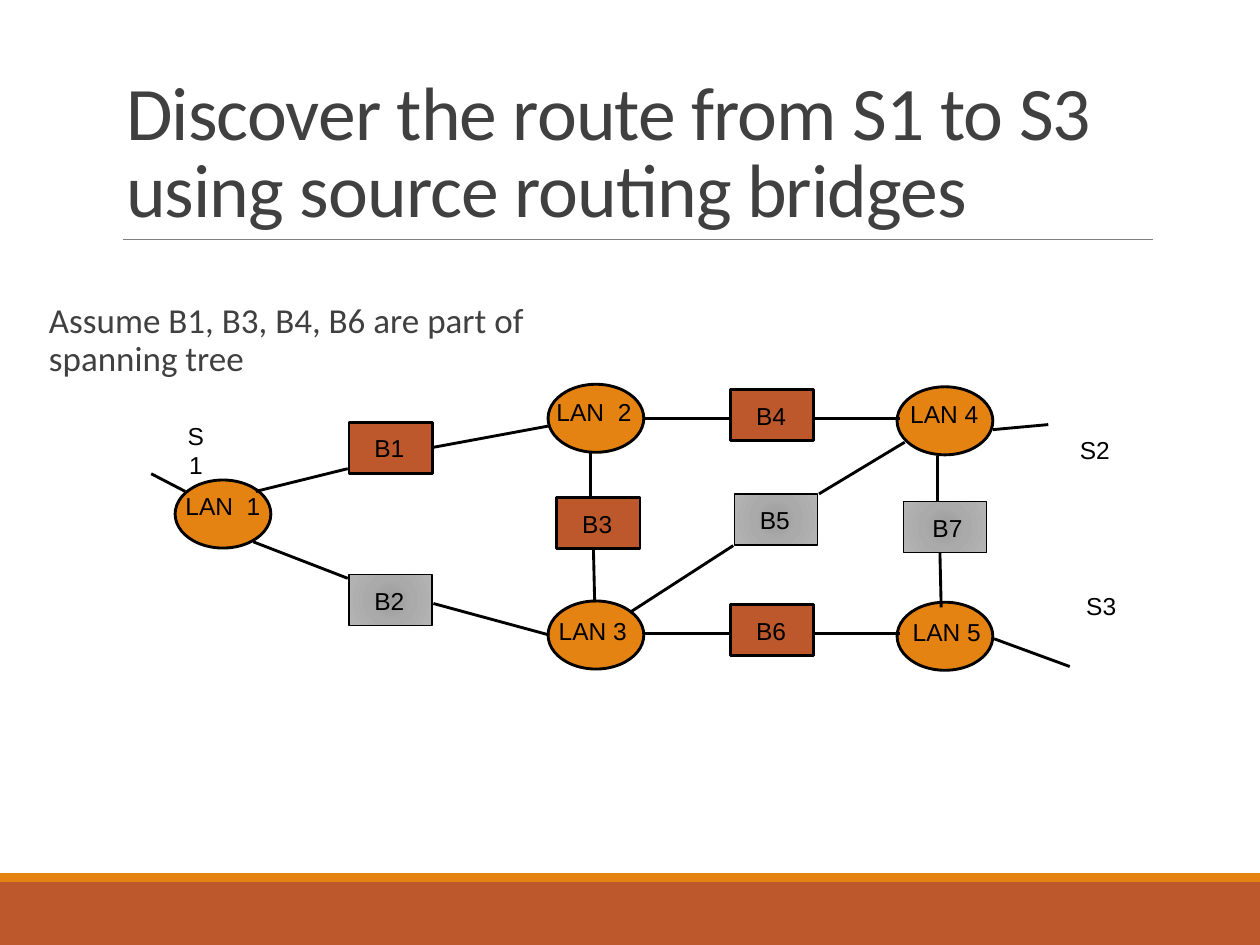
from dataclasses import dataclass
from typing import NamedTuple

from lxml.etree import SubElement
from pptx import Presentation
from pptx.dml.color import RGBColor
from pptx.enum.shapes import MSO_CONNECTOR, MSO_SHAPE
from pptx.enum.text import MSO_ANCHOR, MSO_AUTO_SIZE, PP_ALIGN
from pptx.oxml import parse_xml
from pptx.oxml.ns import nsdecls, qn
from pptx.util import Inches, Pt

COLS, ROWS = 100, 75  # grid over the whole slide
LAN_W, LAN_H = 7.6, 5.4
BOX_W, BOX_H = 6.6, 4.05
TAG_W, TAG_H = 2.4, 2.3


@dataclass(frozen=True)
class Theme:
    rust: str = "BD582C"
    amber: str = "E48312"
    ink: str = "000000"
    text: str = "404040"
    rule: str = "808080"
    greys: tuple = ((0, "9C9C9C"), (45, "AAAAAA"), (100, "B4B4B4"))
    head: str = "Calibri"
    label: str = "Arial"
    title_pt: float = 43.2
    body_pt: float = 20
    label_pt: float = 14
    thick: float = 1.63
    thin: float = 1
    hair: float = 0.5


class Lan(NamedTuple):
    name: str
    x: float
    y: float
    mid: float  # centre of the name
    top: float  # top of the name


class Bridge(NamedTuple):
    name: str
    x: float
    y: float
    tree: bool  # part of the spanning tree
    dx: float = 2


class Tag(NamedTuple):
    name: str
    x: float
    y: float
    w: float = TAG_W


class Link(NamedTuple):
    x1: float
    y1: float
    x2: float
    y2: float


LANS = [
    Lan("LAN  1", 13.9, 38.1, 17.7, 39),
    Lan("LAN  2", 43.5, 30.5, 47.15, 31.5),
    Lan("LAN 3", 43.5, 47.7, 47.05, 48.9),
    Lan("LAN 4", 71.2, 30.7, 74.95, 31.7),
    Lan("LAN 5", 71.2, 47.8, 75.15, 49),
]
BRIDGES = [
    Bridge("B1", 27.7, 33.5, True),
    Bridge("B2", 27.7, 45.6, False),
    Bridge("B3", 44.2, 39.5, True),
    Bridge("B4", 58, 30.9, True),
    Bridge("B5", 58.3, 39.2, False),
    Bridge("B6", 58, 48, True),
    Bridge("B7", 71.7, 39.8, False, 2.3),
]
TAGS = [
    Tag("S1", 14.75, 33.4, 1.6),  # narrow: the digit falls below the letter
    Tag("S2", 85.7, 34.5),
    Tag("S3", 86.2, 46.9),
]
LINKS = [
    Link(51.1, 33.2, 58, 33.2), Link(64.7, 33.2, 71.4, 33.2),
    Link(51.1, 50.3, 58, 50.3), Link(64.7, 50.3, 71.4, 50.3),
    Link(46.9, 35.9, 46.9, 39.5), Link(47.1, 43.6, 47.2, 47.8),
    Link(74.4, 36.2, 74.4, 39.8), Link(74.6, 43.9, 74.7, 48.2),
    Link(20.3, 39, 27.6, 37.2), Link(34.4, 35.5, 43.6, 33.8),
    Link(20.1, 43, 27.6, 45.9), Link(34.4, 47.9, 43.6, 50.4),
    Link(50, 48.6, 58.2, 43.3), Link(65, 39.2, 71.8, 35.1),
    Link(12, 37.6, 14.7, 39), Link(78.8, 34.1, 83.2, 33.7),
    Link(78.9, 50.7, 84.9, 52.9),
]

theme = Theme()
deck = Presentation()
deck.slide_width, deck.slide_height = Inches(10), Inches(7.5)
slide = deck.slides.add_slide(deck.slide_layouts[5])
shapes = slide.shapes


def cells(*nums: float) -> list[int]:
    """Turn x, y pairs in grid cells into slide lengths."""
    units = (deck.slide_width / COLS, deck.slide_height / ROWS)
    return [round(n * units[i % 2]) for i, n in enumerate(nums)]


def apply(target, values: dict) -> None:
    for name, value in values.items():
        setattr(target, name, value)


def blend(shape) -> None:
    """Fill a shape with the round grey gradient."""
    stops = "".join(
        f'<a:gs pos="{at * 1000}"><a:srgbClr val="{tone}"/></a:gs>'
        for at, tone in theme.greys)
    grad = parse_xml(
        f'<a:gradFill {nsdecls("a")} rotWithShape="1"><a:gsLst>{stops}</a:gsLst>'
        '<a:path path="circle"><a:fillToRect l="100000" t="100000" '
        'r="100000" b="100000"/></a:path></a:gradFill>')
    shape._element.spPr.find(qn("a:prstGeom")).addnext(grad)


def draw(kind, x: float, y: float, w: float, h: float,
         fill: str | None, width: float = 0) -> None:
    """Add a preset shape; no fill colour means the grey gradient."""
    shape = shapes.add_shape(kind, *cells(x, y, w, h))
    shape.shadow.inherit = False
    if fill:
        shape.fill.solid()
        shape.fill.fore_color.rgb = RGBColor.from_string(fill)
    else:
        blend(shape)
    if width:
        shape.line.color.rgb = RGBColor.from_string(theme.ink)
        shape.line.width = Pt(width)
    else:
        shape.line.fill.background()


def join(link: Link, color: str, width: float) -> None:
    line = shapes.add_connector(MSO_CONNECTOR.STRAIGHT, *cells(*link))
    line.line.color.rgb = RGBColor.from_string(color)
    line.line.width = Pt(width)
    SubElement(line._element.spPr, qn("a:effectLst"))


def write(box, text: str, frame: dict, para: dict, font: dict, color: str) -> None:
    body = box.text_frame
    body.text = text
    apply(body, {"auto_size": MSO_AUTO_SIZE.NONE, "word_wrap": True} | frame)
    first = body.paragraphs[0]
    apply(first, para)
    run = first.runs[0]
    apply(run.font, font)
    run.font.color.rgb = RGBColor.from_string(color)


def label(text: str, x: float, y: float, w: float, wrap: bool = False) -> None:
    box = shapes.add_textbox(*cells(x, y, w, TAG_H))
    frame = {f"margin_{side}": 0 for side in ("left", "top", "right", "bottom")}
    write(box, text, frame | {"word_wrap": wrap},
          {"alignment": PP_ALIGN.CENTER},
          {"name": theme.label, "size": Pt(theme.label_pt)}, theme.ink)


def page() -> None:
    """Draw the footer bands, the title with its rule, and the note."""
    draw(MSO_SHAPE.RECTANGLE, 0, 70, COLS, 5, theme.rust)
    draw(MSO_SHAPE.RECTANGLE, 0, 69.3, COLS, 0.7, theme.amber)
    join(Link(9.8, 19, 91.5, 19), theme.rule, theme.hair)
    title = shapes.title
    apply(title, dict(zip(("left", "top", "width", "height"),
                          cells(9, 3.1, 82.5, 15.9))))
    write(title, "Discover the route from S1 to S3 using source routing bridges",
          {"vertical_anchor": MSO_ANCHOR.BOTTOM},
          {"alignment": PP_ALIGN.LEFT, "line_spacing": 0.85},
          {"name": theme.head, "size": Pt(theme.title_pt)}, theme.text)
    title.text_frame.paragraphs[0].runs[0].font._element.set("spc", "-50")
    note = shapes.add_textbox(*cells(2.9, 23.6, 40.5, 44))
    write(note, "Assume B1, B3, B4, B6 are part of spanning tree",
          {"margin_left": Inches(0.1), "margin_right": 0},
          {"line_spacing": 0.9, "space_after": Pt(2)},
          {"name": theme.head, "size": Pt(theme.body_pt)}, theme.text)


def network() -> None:
    for lan in LANS:
        draw(MSO_SHAPE.OVAL, lan.x, lan.y, LAN_W, LAN_H, theme.amber, theme.thick)
    for b in BRIDGES:
        fill, width = (theme.rust, theme.thick) if b.tree else (None, theme.thin)
        draw(MSO_SHAPE.RECTANGLE, b.x, b.y, BOX_W, BOX_H, fill, width)
        label(b.name, b.x + b.dx, b.y + 0.9, TAG_W)
    for link in LINKS:
        join(link, theme.ink, theme.thick)
    for lan in LANS:
        label(lan.name, lan.mid - 3.15, lan.top, 6.3)
    for tag in TAGS:
        label(tag.name, tag.x, tag.y, tag.w, tag.w < TAG_W)


page()
network()
deck.save("out.pptx")
